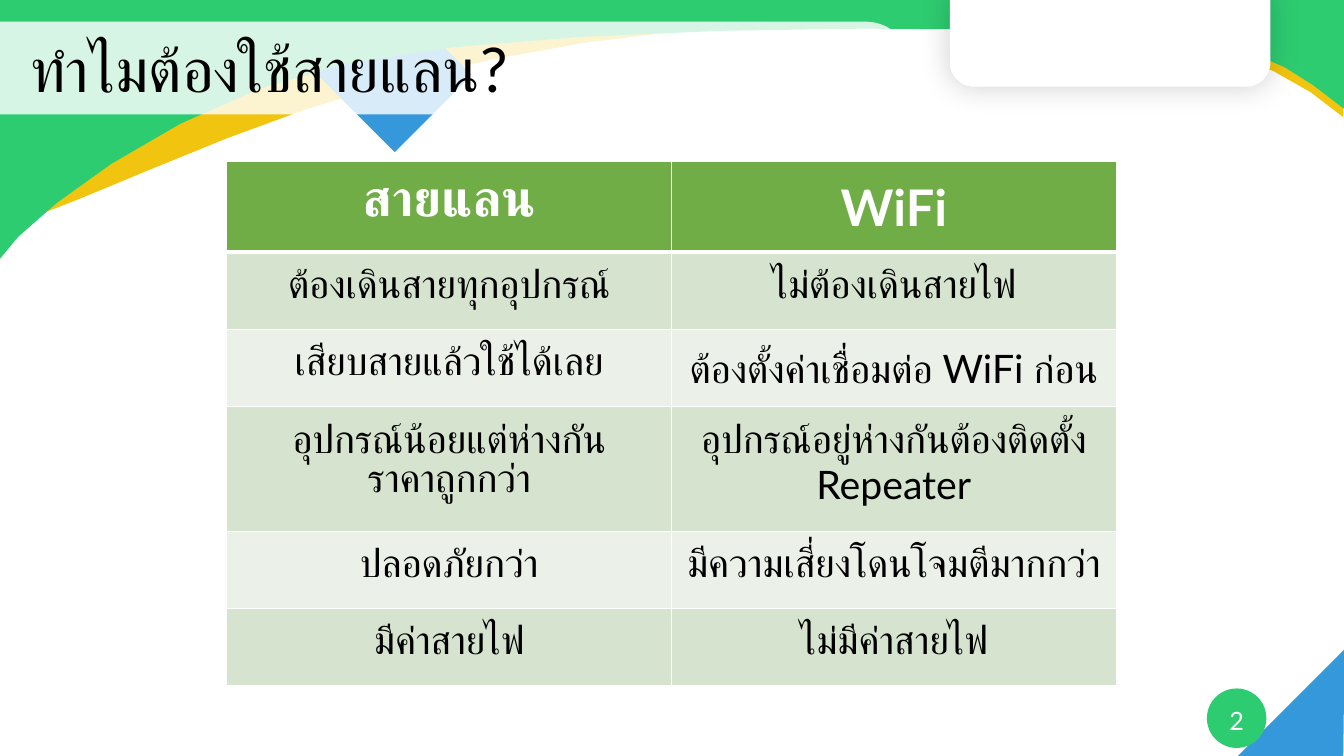
from lxml.etree import SubElement
from pptx import Presentation
from pptx.dml.color import RGBColor
from pptx.enum.shapes import MSO_SHAPE
from pptx.enum.text import MSO_ANCHOR, PP_ALIGN
from pptx.oxml.ns import qn
from pptx.util import Inches, Pt

GREEN, BLUE, YELLOW, WHITE, BLACK = "2ECC71", "3498DB", "F1C40F", "FFFFFF", "000000"


def paint(target, color):
    target.fill.solid()
    target.fill.fore_color.rgb = RGBColor.from_string(color)
    if hasattr(target, "shadow"):
        target.line.fill.background()
        target.shadow.inherit = False


def write(paragraph, text, size, color, bold=False):
    run = paragraph.add_run()
    run.text = text
    run.font.name = "Lato"
    run.font.size = Pt(size)
    run.font.bold = bold
    run.font.color.rgb = RGBColor.from_string(color)


prs = Presentation()
prs.slide_width, prs.slide_height = Inches(13.33), Inches(7.5)
slide = prs.slides.add_slide(prs.slide_layouts[6])
shapes = slide.shapes

corner = shapes.add_shape(MSO_SHAPE.ISOSCELES_TRIANGLE, Inches(12.3), Inches(6.87), Inches(1.52), Inches(0.74))
corner.rotation = 135
paint(corner, BLUE)
page_disc = shapes.add_shape(MSO_SHAPE.OVAL, Inches(11.97), Inches(6.83), Inches(0.59), Inches(0.59))
paint(page_disc, GREEN)

waves = [
    (YELLOW, (0, 2.28), [
        [(1.63, 1.68), (2.75, 1.02), (4.88, 0.59)],
        [(6.62, 0.21), (9.06, 0.12), (10.46, 0.21)],
        [(11.87, 0.31), (12.73, 0.64), (13.32, 1.16)],
    ], [(13.33, -0.11), (-0.01, 0.01)]),
    (GREEN, (-0.01, 2.58), [
        [(0.16, 2.26), (1.65, 1), (3.44, 0.63)],
        [(5.24, 0.25), (9.13, 0.25), (10.78, 0.32)],
        [(12.43, 0.4), (12.66, 0.55), (13.33, 1.08)],
    ], [(13.33, -0.12), (-0.01, 0)]),
]
STEPS = 6
for color, start, curves, top_edge in waves:
    outline = [start]
    for c1, c2, end in curves:
        begin = outline[-1]
        for step in range(1, STEPS + 1):
            t = step / STEPS
            u = 1 - t
            outline.append(tuple(
                u**3 * a + 3 * u * u * t * b + 3 * u * t * t * c + t**3 * d
                for a, b, c, d in zip(begin, c1, c2, end)
            ))
    points = [(Inches(x), Inches(y)) for x, y in outline + top_edge]
    builder = shapes.build_freeform(*points[0])
    builder.add_line_segments(points[1:], close=True)
    paint(builder.convert_to_shape(), color)
    if color == YELLOW:
        diamond = shapes.add_shape(MSO_SHAPE.DIAMOND, Inches(3.15), Inches(-0.02), Inches(1.53), Inches(1.53))
        paint(diamond, BLUE)

tab = shapes.add_shape(MSO_SHAPE.ROUND_2_SAME_RECTANGLE, Inches(9.42), Inches(-0.09), Inches(3.18), Inches(0.95))
tab.rotation = 180
tab.adjustments[0] = 0.254
paint(tab, WHITE)
effects = tab._element.spPr.find(qn("a:effectLst"))
glow = SubElement(effects, qn("a:outerShdw"), blurRad=str(Pt(22)), dist="0", dir="0", algn="ctr", rotWithShape="0")
SubElement(SubElement(glow, qn("a:srgbClr"), val=BLACK), qn("a:alpha"), val="19000")

title_band = shapes.add_shape(MSO_SHAPE.ROUND_2_SAME_RECTANGLE, Inches(4.06), Inches(-3.85), Inches(0.92), Inches(9.05))
title_band.rotation = 90
title_band.adjustments[0] = 0.5
paint(title_band, WHITE)
band_color = title_band._element.spPr.find(qn("a:solidFill")).find(qn("a:srgbClr"))
SubElement(band_color, qn("a:alpha"), val="81000")

labels = [
    ("ทำไมต้องใช้สายแลน?", 44, BLACK, PP_ALIGN.LEFT, 0.9, (0.2, 0.15, 12.18, 1.14)),
    ("2", 18, WHITE, PP_ALIGN.CENTER, 1.0, (11.97, 6.95, 0.59, 0.4)),
]
for text, size, color, align, spacing, box in labels:
    frame = shapes.add_textbox(*map(Inches, box)).text_frame
    frame.word_wrap = True
    frame.vertical_anchor = MSO_ANCHOR.MIDDLE
    frame.paragraphs[0].alignment = align
    frame.paragraphs[0].line_spacing = spacing
    write(frame.paragraphs[0], text, size, color)

comparison = [
    ("สายแลน", "WiFi"),
    ("ต้องเดินสายทุกอุปกรณ์", "ไม่ต้องเดินสายไฟ"),
    ("เสียบสายแล้วใช้ได้เลย", "ต้องตั้งค่าเชื่อมต่อ WiFi ก่อน"),
    ("อุปกรณ์น้อยแต่ห่างกัน\nราคาถูกกว่า", "อุปกรณ์อยู่ห่างกันต้องติดตั้ง Repeater"),
    ("ปลอดภัยกว่า", "มีความเสี่ยงโดนโจมตีมากกว่า"),
    ("มีค่าสายไฟ", "ไม่มีค่าสายไฟ"),
]
table_frame = shapes.add_table(len(comparison), 2, Inches(2.25), Inches(1.6), Inches(8.83), Inches(5.2))
table = table_frame.table
for column in table.columns:
    column.width = Inches(4.41)
for r, texts in enumerate(comparison):
    table.rows[r].height = Inches(0.41)
    header = r == 0
    for c, text in enumerate(texts):
        cell = table.cell(r, c)
        cell.margin_left = cell.margin_right = cell.margin_top = cell.margin_bottom = Inches(0.15)
        for side in ("L", "R", "T", "B"):
            thick = (r, side) in ((0, "B"), (1, "T"))
            border = SubElement(cell._tc.get_or_add_tcPr(), qn(f"a:ln{side}"), w=str(Pt(3 if thick else 1)))
            SubElement(SubElement(border, qn("a:solidFill")), qn("a:srgbClr"), val=WHITE)
        paint(cell, "70AD47" if header else "D5E3CF" if r % 2 else "EBF1E9")
        for i, line in enumerate(text.split("\n")):
            paragraph = cell.text_frame.add_paragraph() if i else cell.text_frame.paragraphs[0]
            paragraph.alignment = PP_ALIGN.CENTER
            write(paragraph, line, 36 if header else 28, WHITE if header else BLACK, header)
table_frame.height = Inches(5.2)

prs.save("out.pptx")
